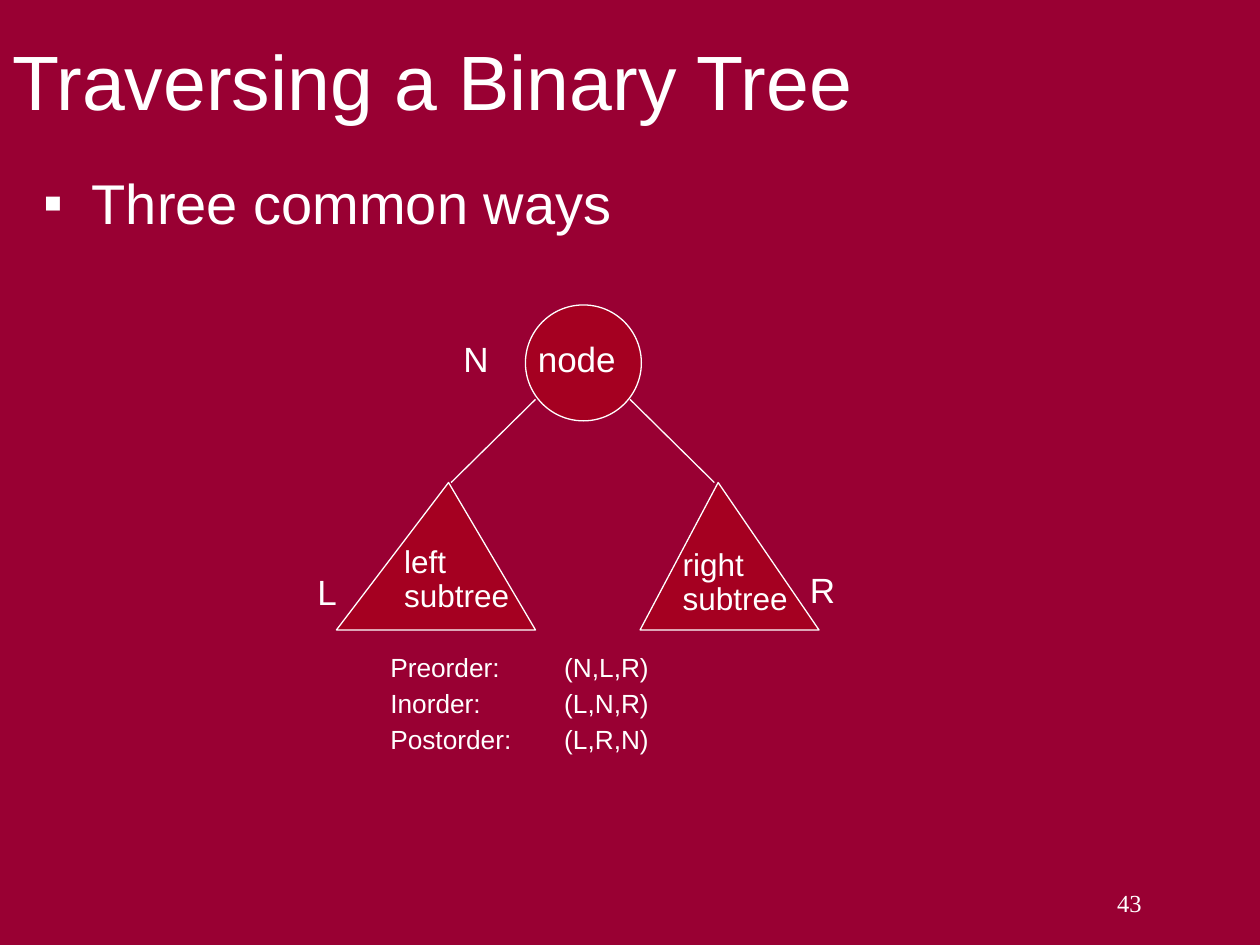
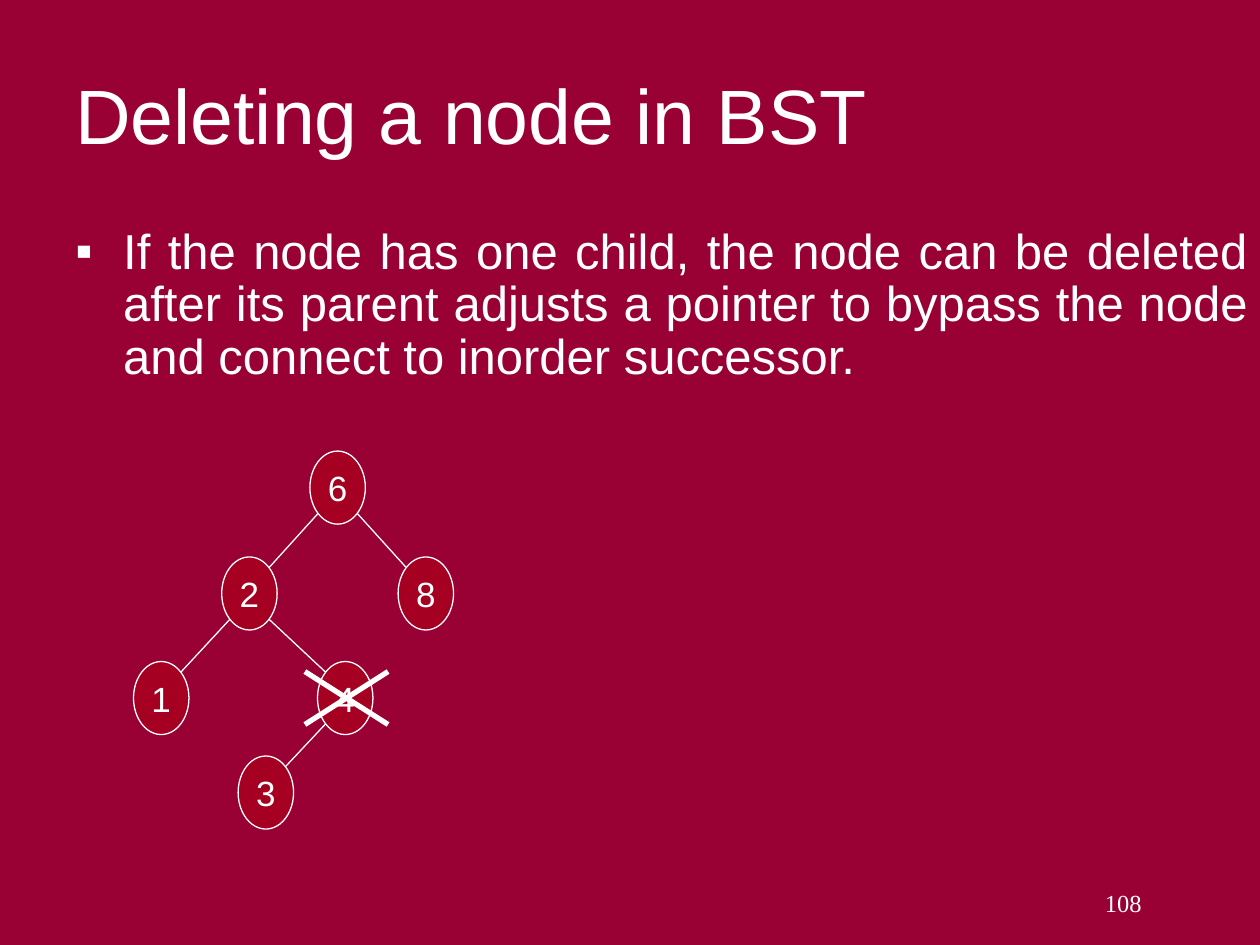
import math

import lxml.etree
import pptx
import pptx.dml.color
import pptx.enum.shapes
import pptx.enum.text
import pptx.oxml.ns
import pptx.util

Inches = pptx.util.Inches
ALIGN = pptx.enum.text.PP_ALIGN
ANCHOR = pptx.enum.text.MSO_ANCHOR

# Shared style
BACKGROUND = "990033"
NODE_FILL = "A50021"
WHITE = "FFFFFF"
FONT = "Arial"
HANGING = 0.38
NODE_WIDTH, NODE_HEIGHT = 0.44, 0.58


def color(hex_code):
    return pptx.dml.color.RGBColor.from_string(hex_code)


def add_element(parent, tag, **attributes):
    return lxml.etree.SubElement(parent, pptx.oxml.ns.qn(tag), **attributes)


def set_hanging_indent(paragraph):
    properties = paragraph._p.get_or_add_pPr()
    properties.set("marL", str(Inches(HANGING)))
    properties.set("indent", str(-Inches(HANGING)))
    return properties


def style_text(text_frame, size, font=FONT, align=ALIGN.LEFT, spacing=None):
    for paragraph in text_frame.paragraphs:
        paragraph.alignment = align
        if spacing:
            paragraph.line_spacing = spacing
        for run in paragraph.runs:
            run.font.size = pptx.util.Pt(size)
            run.font.name = font
            run.font.color.rgb = color(WHITE)


def add_text(slide, text, left, top, width, height, size, **style):
    box = slide.shapes.add_textbox(Inches(left), Inches(top), Inches(width), Inches(height))
    box.text_frame.word_wrap = True
    box.text_frame.text = text
    style_text(box.text_frame, size, **style)
    return box.text_frame


def add_bullet(slide, text, left, top, width, height, size, **style):
    text_frame = add_text(slide, text, left, top, width, height, size, **style)
    properties = set_hanging_indent(text_frame.paragraphs[0])
    bullet_color = add_element(properties, "a:buClr")
    add_element(bullet_color, "a:srgbClr", val=WHITE)
    add_element(properties, "a:buFont", typeface=FONT)
    add_element(properties, "a:buChar", char="▪")


def add_tabbed_list(slide, rows, left, top, width, height, size):
    text = "\n".join("\t".join(row) for row in rows)
    text_frame = add_text(slide, text, left, top, width, height, size, spacing=0.8)
    for index, paragraph in enumerate(text_frame.paragraphs):
        properties = set_hanging_indent(paragraph)
        properties.set("defTabSz", str(Inches(1)))
        tabs = add_element(properties, "a:tabLst")
        add_element(tabs, "a:tab", pos=str(Inches(1)), algn="l")
        if index:
            paragraph.space_before = pptx.util.Pt(6)


def paint(shape):
    shape.shadow.inherit = False
    shape.fill.solid()
    shape.fill.fore_color.rgb = color(NODE_FILL)
    shape.line.color.rgb = color(WHITE)
    shape.line.width = pptx.util.Pt(0.75)


def add_ellipse(slide, center, width, height):
    x, y = center
    ellipse = slide.shapes.add_shape(
        pptx.enum.shapes.MSO_SHAPE.OVAL,
        Inches(x - width / 2), Inches(y - height / 2), Inches(width), Inches(height))
    paint(ellipse)
    return ellipse


def add_tree_node(slide, label, center):
    text_frame = add_ellipse(slide, center, NODE_WIDTH, NODE_HEIGHT).text_frame
    text_frame.margin_left = text_frame.margin_right = 0
    text_frame.margin_top = text_frame.margin_bottom = 0
    text_frame.vertical_anchor = ANCHOR.MIDDLE
    text_frame.word_wrap = False
    text_frame.text = label
    style_text(text_frame, 20, align=ALIGN.CENTER)


def add_triangle(slide, corners):
    apex, *base = [(Inches(x), Inches(y)) for x, y in corners]
    builder = slide.shapes.build_freeform(*apex)
    builder.add_line_segments(base, close=True)
    paint(builder.convert_to_shape())


def add_line(slide, start, end, width=0.75):
    line = slide.shapes.add_connector(
        pptx.enum.shapes.MSO_CONNECTOR.STRAIGHT, *map(Inches, start + end))
    line.line.color.rgb = color(WHITE)
    line.line.width = pptx.util.Pt(width)
    add_element(line._element.spPr, "a:effectLst")


def add_tree_edge(slide, parent, child):
    """Join the diagonal points of two tree nodes."""
    side = math.copysign(1, child[0] - parent[0])
    dx = side * NODE_WIDTH / 2 * math.sqrt(0.5)
    dy = NODE_HEIGHT / 2 * math.sqrt(0.5)
    add_line(slide, (parent[0] + dx, parent[1] + dy), (child[0] - dx, child[1] - dy))


def add_slide(presentation, title, title_left, title_top, number):
    slide = presentation.slides.add_slide(presentation.slide_layouts[6])
    slide.background.fill.solid()
    slide.background.fill.fore_color.rgb = color(BACKGROUND)
    add_text(slide, number, 7.08, 7, 2.08, 0.5, 14, font="Times New Roman", align=ALIGN.RIGHT)
    title_frame = add_text(slide, title, title_left, title_top, 9, 1, 44)
    title_frame.vertical_anchor = ANCHOR.MIDDLE
    return slide


def build_traversal(presentation):
    slide = add_slide(presentation, "Traversing a Binary Tree", 0, 0.13, "43")
    add_bullet(slide, "Three common ways", 0.25, 1.29, 9, 1, 32)

    # Root node and its two subtrees
    add_ellipse(slide, (4.63, 2.88), 0.92, 0.92)
    add_text(slide, "node", 4.17, 2.63, 1, 0.44, 20)
    add_line(slide, (5, 3.17), (5.67, 3.83))
    add_line(slide, (4.25, 3.17), (3.58, 3.83))
    add_triangle(slide, [(3.56, 3.83), (2.67, 5), (4.25, 5)])
    add_triangle(slide, [(5.7, 3.83), (6.5, 5), (5.08, 5)])
    for text, left, top in [("left subtree", 3.11, 4.29), ("right subtree", 5.32, 4.31)]:
        add_text(slide, text, left, top, 1.25, 0.64, 18, spacing=0.9)

    # Letters and the orders they form
    for letter, left, top in [("L", 2.42, 4.52), ("N", 3.58, 2.67), ("R", 6.33, 4.5)]:
        add_text(slide, letter, left, top, 0.5, 0.4, 20, spacing=0.9)
    orders = [("Preorder:", "(N,L,R)"), ("Inorder:", "(L,N,R)"), ("Postorder:", "(L,R,N)")]
    add_tabbed_list(slide, orders, 3, 5.17, 3.33, 1.5, 15)


def build_deletion(presentation):
    slide = add_slide(presentation, "Deleting a node in BST", 0.5, 0.4, "108")
    add_bullet(
        slide,
        "If the node has one child, the node can be deleted after its parent adjusts "
        "a pointer to bypass the node and connect to inorder successor.",
        0.5, 1.75, 9.5, 1.83, 28, align=ALIGN.JUSTIFY, spacing=0.9)

    # Search tree
    centers = {"6": (2.68, 3.87), "2": (1.98, 4.71), "8": (3.38, 4.71),
               "1": (1.28, 5.54), "4": (2.74, 5.54), "3": (2.11, 6.29)}
    for label, center in centers.items():
        add_tree_node(slide, label, center)
    for parent, child in ["62", "68", "21", "24", "43"]:
        add_tree_edge(slide, centers[parent], centers[child])

    # Cross over the deleted node
    left, top, right, bottom = 2.42, 5.33, 3.08, 5.75
    add_line(slide, (left, bottom), (right, top), 3)
    add_line(slide, (right, bottom), (left, top), 3)


def main():
    presentation = pptx.Presentation()
    presentation.slide_width = Inches(10)
    presentation.slide_height = Inches(7.5)
    build_traversal(presentation)
    build_deletion(presentation)
    presentation.save("out.pptx")


if __name__ == "__main__":
    main()
